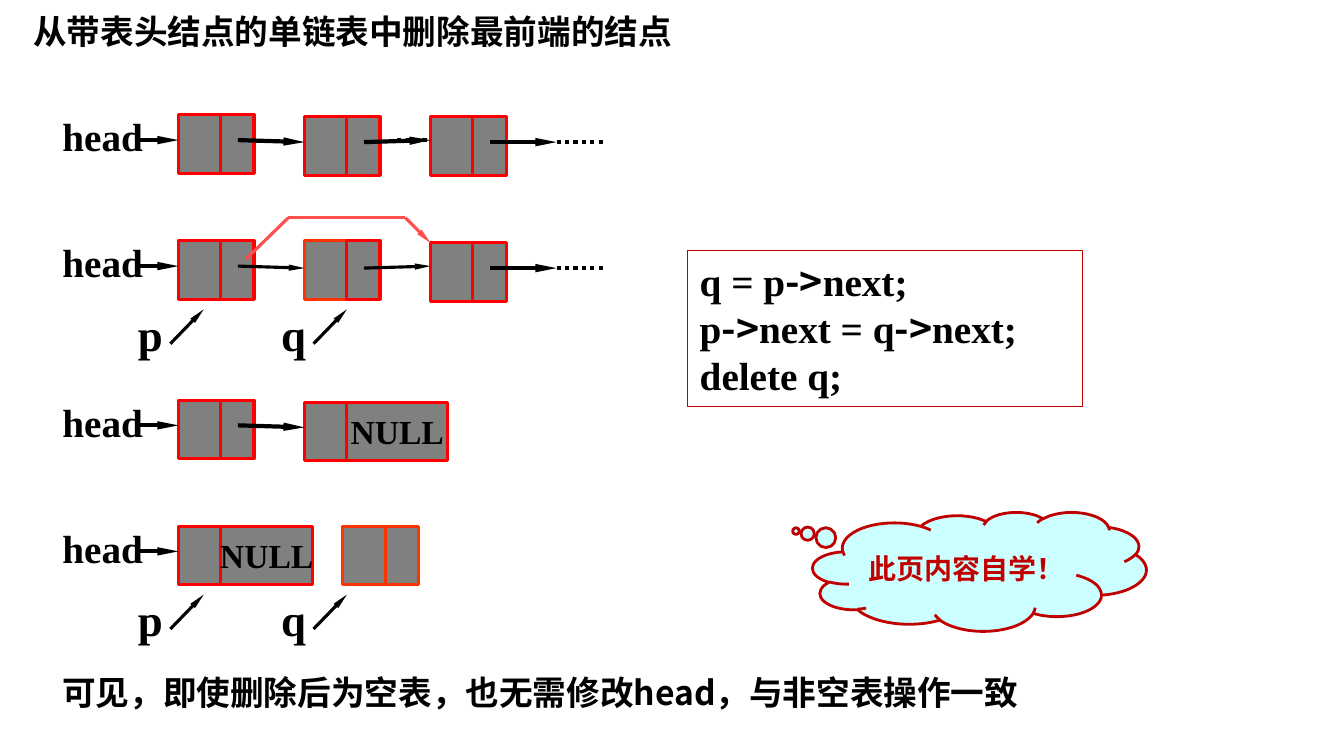
from lxml import etree
from pptx import Presentation
from pptx.dml.color import RGBColor
from pptx.enum import dml, shapes, text
from pptx.oxml.ns import qn
from pptx.util import Inches, Pt

BLACK = RGBColor(0x00, 0x00, 0x00)
GRAY = RGBColor(0x80, 0x80, 0x80)
RED = RGBColor(0xFF, 0x00, 0x00)
ORANGE = RGBColor(0xFF, 0x33, 0x00)
PINK = RGBColor(0xFF, 0x50, 0x50)
DARK_RED = RGBColor(0xC0, 0x00, 0x00)
PALE_CYAN = RGBColor(0xCC, 0xFF, 0xFF)
SERIF = "Times New Roman"
SANS = "Noto Sans CJK SC"


def write(shape, lines, size=28, font=SERIF, color=BLACK, wrap=True,
          align=text.PP_ALIGN.LEFT, anchor=text.MSO_ANCHOR.TOP, inset=(0.1, 0.05)):
    """Fill a shape with bold lines; every "->" is set in the sans face."""
    frame = shape.text_frame
    frame.word_wrap, frame.vertical_anchor = wrap, anchor
    frame.auto_size = text.MSO_AUTO_SIZE.NONE
    frame.margin_left = frame.margin_right = Inches(inset[0])
    frame.margin_top = frame.margin_bottom = Inches(inset[1])
    for number, line in enumerate(lines):
        paragraph = frame.add_paragraph() if number else frame.paragraphs[0]
        paragraph.alignment = align
        for part in line.replace("->", "|->|").split("|"):
            if not part:
                continue
            run = paragraph.add_run()
            run.text = part
            run.font.size, run.font.bold = Pt(size), True
            run.font.name = SANS if part == "->" else font
            run.font.color.rgb = color
            latin = run.font._element.find(qn("a:latin"))
            latin.addnext(latin.makeelement(qn("a:ea"), {"typeface": SANS}))


def link(start, end, color=BLACK, width=3, arrow=True, dotted=False):
    connector = slide.shapes.add_connector(
        shapes.MSO_CONNECTOR.STRAIGHT, *(Inches(v) for v in (*start, *end)))
    connector.line.color.rgb, connector.line.width = color, Pt(width)
    if dotted:
        connector.line.dash_style = dml.MSO_LINE.ROUND_DOT
    if arrow:
        etree.SubElement(connector.line._get_or_add_ln(), qn("a:tailEnd"),
                         type="triangle", w="sm", len="lg")
    etree.SubElement(connector._element.spPr, qn("a:effectLst"))


prs = Presentation()
prs.slide_width, prs.slide_height = Inches(13.33), Inches(7.5)
slide = prs.slides.add_slide(prs.slide_layouts[5])

title = slide.shapes.title
title.left, title.top, title.width, title.height = (Inches(v) for v in (0.21, 0.05, 9.5, 0.53))
write(title, ["从带表头结点的单链表中删除最前端的结点"], size=24, inset=(0.12, 0.06))

# Each list: top, nodes (left, drop, data outline, next outline, NULL width),
# link width, whether it runs on, whether p and q are marked
DATA_W, NEXT_W, CELL_H = 0.42, 0.33, 0.58
HEAD = (1.77, 0, RED, RED, None)
THIRD = (4.27, 0.02, RED, RED, None)
lists = [
    (1.14, [HEAD, (3.02, 0.02, RED, RED, None), THIRD], 3, True, False),
    (2.39, [HEAD, (3.02, 0, ORANGE, RED, None), THIRD], 2.25, True, True),
    (3.97, [HEAD, (3.02, 0.02, RED, RED, 1)], 3, False, False),
    (5.22, [(1.77, 0, RED, RED, 0.91), (3.4, 0, ORANGE, ORANGE, None)], 3, False, True),
]
link((3.94, 1.39), (4.44, 1.39), arrow=False, dotted=True)

for top, nodes, link_width, runs_on, marked in lists:
    for left, drop, data_color, next_color, null_width in nodes:
        cells = [(left, DATA_W, data_color), (left + DATA_W, null_width or NEXT_W, next_color)]
        for cell_left, cell_width, outline in cells:
            cell = slide.shapes.add_shape(
                shapes.MSO_SHAPE.RECTANGLE, Inches(cell_left), Inches(top + drop),
                Inches(cell_width), Inches(CELL_H))
            cell.shadow.inherit = False
            cell.fill.solid()
            cell.fill.fore_color.rgb = GRAY
            cell.line.color.rgb, cell.line.width = outline, Pt(2.25)
        if null_width:
            write(cell, ["NULL"], size=24, wrap=False, align=text.PP_ALIGN.CENTER,
                  anchor=text.MSO_ANCHOR.MIDDLE)

    axis = top + 0.25
    link((1.36, axis), (1.77, axis))
    if nodes[0] == HEAD:
        link((2.36, axis), (3.02, axis + 0.02), width=link_width)
    if runs_on:
        link((3.61, axis + 0.02), (4.27, axis), width=link_width)
        link((4.86, axis + 0.02), (5.52, axis + 0.02))
        link((5.52, axis + 0.02), (6.02, axis + 0.02), arrow=False, dotted=True)

    labels = [("head", 0.52, top - 0.07, 1.01, 0.57, 28)]
    if marked:
        for name, left in (("p", 1.27), ("q", 2.69)):
            labels.append((name, left, top + 0.6, 0.45, 0.64, 32))
            link((left + 0.42, top + 1.02), (left + 0.75, top + 0.68), width=2.25)
    for name, left, label_top, width, height, size in labels:
        label = slide.shapes.add_textbox(*(Inches(v) for v in (left, label_top, width, height)))
        write(label, [name], size=size, wrap=False)

bypass = [(2.44, 2.57), (2.86, 2.16), (4.02, 2.16), (4.27, 2.41)]
for start, end in zip(bypass, bypass[1:]):
    link(start, end, color=PINK, width=2.25, arrow=end == bypass[-1])

code = slide.shapes.add_shape(
    shapes.MSO_SHAPE.RECTANGLE, Inches(6.82), Inches(2.49), Inches(3.92), Inches(1.54))
code.shadow.inherit = False
code.fill.background()
code.line.color.rgb, code.line.width = DARK_RED, Pt(0.75)
write(code, ["q = p->next;", "p->next = q->next;", "delete q;"], inset=(0.12, 0.06))

conclusion = slide.shapes.add_textbox(Inches(0.52), Inches(6.62), Inches(10.47), Inches(0.5))
write(conclusion, ["可见，即使删除后为空表，也无需修改head，与非空表操作一致"], size=24, font=SANS)

cloud = slide.shapes.add_shape(
    shapes.MSO_SHAPE.CLOUD_CALLOUT, Inches(8.06), Inches(5.08), Inches(3.31), Inches(1.18))
cloud.adjustments[0], cloud.adjustments[1] = -0.55, -0.34
cloud.shadow.inherit = False
cloud.fill.solid()
cloud.fill.fore_color.rgb = PALE_CYAN
cloud.line.color.rgb, cloud.line.width = DARK_RED, Pt(2)
write(cloud, ["此页内容自学！"], size=20, font="Arial", color=DARK_RED,
      align=text.PP_ALIGN.JUSTIFY, anchor=text.MSO_ANCHOR.MIDDLE)

prs.save("out.pptx")
